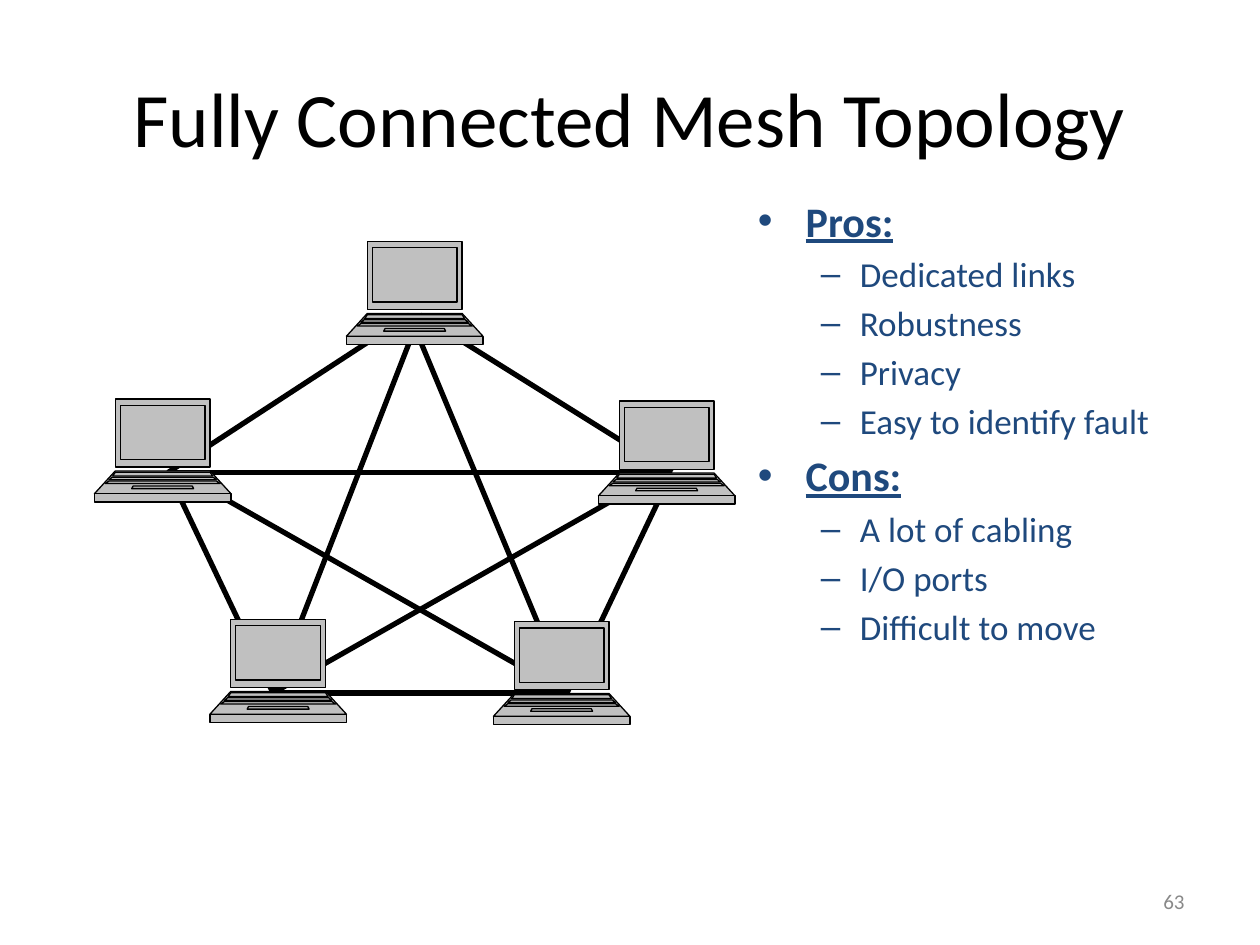
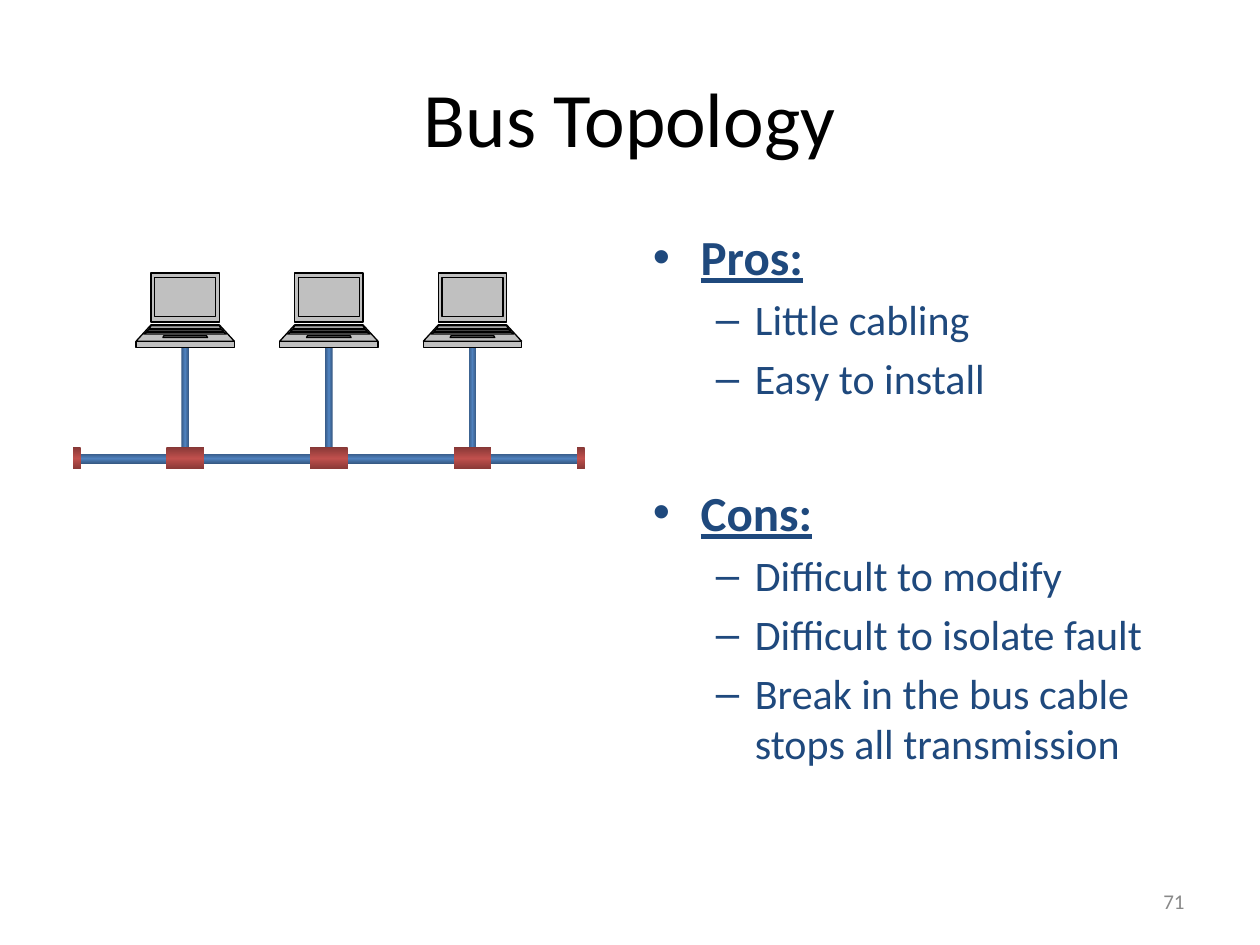
"""Build two slides that compare mesh and bus network topologies."""
import copy

import lxml.etree
import pptx
import pptx.dml.color
import pptx.enum.shapes
import pptx.enum.text
import pptx.oxml.ns
import pptx.util

COLORS = {
    "title": "000000", "body": "1F497D", "number": "898989",
    "line": "000000", "laptop": "C0C0C0",
    "cable": "4F81BD", "cable_edge": "375A85",
    "joint": "C0504D", "joint_edge": "873836",
}
FONT = "Calibri"
COLUMNS, ROWS = 120, 90
CELL = pptx.util.Inches(10) // COLUMNS

# Each part: top, bottom, half width at top, half width at bottom.
LAPTOP_COLUMNS = 108
LAPTOP_PARTS = [
    (0, 54, 37.5, 37.5),
    (57, 75, 37.5, 54),
    (75, 81.5, 54, 54),
    (5, 48, 33.5, 33.5),
    (58, 61, 37.5, 39.5),
    (69, 71, 23.5, 24.5),
    (62, 64, 40, 42.5),
    (65, 67, 42.5, 45.5),
]

MESH_LAPTOPS = [(9, 38), (20, 59), (33, 23), (47, 59.2), (57, 38.2)]
MESH_LINKS = [
    ((16, 45), (39, 30)), ((64, 45), (40, 30)), ((54, 66), (64, 45)),
    ((26, 66), (54, 66)), ((16, 45), (26, 66)), ((64, 45), (16, 45)),
    ((63, 45), (26, 66)), ((54, 66), (17, 45)), ((40, 30), (26, 66)),
    ((54, 66), (39, 30)),
]
BUS_CENTERS = [17.64 + 13.68 * index for index in range(3)]

MESH_PROS = ["Dedicated links", "Robustness", "Privacy", "Easy to identify fault"]
MESH_CONS = ["A lot of cabling", "I/O ports", "Difficult to move"]
BUS_PROS = ["Little cabling", "Easy to install"]
BUS_CONS = ["Difficult to modify", "Difficult to isolate fault",
            "Break in the bus cable stops all transmission"]


def cells(*counts):
    """Turn counts of grid cells into lengths."""
    return [pptx.util.Emu(round(count * CELL)) for count in counts]


def color(name):
    """Look up a named colour."""
    return pptx.dml.color.RGBColor.from_string(COLORS[name])


def style(para, size, name, bold=False):
    """Set the font of a paragraph; bold ones are underlined too."""
    font = para.font
    font.name, font.size = FONT, pptx.util.Pt(size)
    font.color.rgb = color(name)
    font.bold = font.underline = bold


def add_bullet(para, mark, margin, hanging):
    """Give a paragraph a hanging bullet, with indents in inches."""
    properties = para._p.get_or_add_pPr()
    properties.set("marL", str(pptx.util.Inches(margin)))
    properties.set("indent", str(-pptx.util.Inches(hanging)))
    qn = pptx.oxml.ns.qn
    tint = lxml.etree.SubElement(properties, qn("a:buClr"))
    lxml.etree.SubElement(tint, qn("a:srgbClr"), val=COLORS["body"])
    lxml.etree.SubElement(properties, qn("a:buFont"), typeface="Arial")
    lxml.etree.SubElement(properties, qn("a:buChar"), char=mark)


def add_page(deck, title, number):
    """Add a slide with its title and slide number."""
    page = deck.slides.add_slide(deck.slide_layouts[5])
    heading = page.shapes.title
    heading.left, heading.top, heading.width, heading.height = cells(6, 3.6, 108, 15)
    heading.text_frame.text = title
    heading.text_frame.vertical_anchor = pptx.enum.text.MSO_ANCHOR.MIDDLE
    para = heading.text_frame.paragraphs[0]
    para.alignment = pptx.enum.text.PP_ALIGN.CENTER
    style(para, 44, "title")

    box = page.shapes.add_textbox(*cells(86, 83.4, 28, 4.8))
    box.text_frame.word_wrap = True
    box.text_frame.vertical_anchor = pptx.enum.text.MSO_ANCHOR.MIDDLE
    para = box.text_frame.paragraphs[0]
    para.text = str(number)
    para.alignment = pptx.enum.text.PP_ALIGN.RIGHT
    style(para, 12, "number")
    return page


def add_pros_cons(page, place, pros, cons, size, gap):
    """List pros and cons; gap is the space in points before the cons."""
    frame = page.shapes.add_textbox(*cells(*place)).text_frame
    frame.word_wrap = True
    para = frame.paragraphs[0]
    for heading, items, before in (("Pros:", pros, 0), ("Cons:", cons, gap)):
        if before:
            para = frame.add_paragraph()
            para.space_before = pptx.util.Pt(before)
        para.text = heading
        add_bullet(para, "•", 0.38, 0.38)
        style(para, size, "body", bold=True)
        for item in items:
            para = frame.add_paragraph()
            para.text, para.level = item, 1
            add_bullet(para, "–", 0.81, 0.31)
            para.space_before = pptx.util.Pt(0.2 * (size - 4))
            style(para, size - 4, "body")


def split_contours(shape):
    """Fill each contour of a freeform separately, so that none cuts a hole."""
    qn = pptx.oxml.ns.qn
    outline = next(shape.element.iter(qn("a:path")))
    steps = list(outline)
    target = outline
    for step in steps:
        if step.tag == qn("a:moveTo") and step is not steps[0]:
            target = lxml.etree.SubElement(
                outline.getparent(), outline.tag, dict(outline.attrib))
        target.append(step)


def add_laptop(page, left, top, width):
    """Draw a laptop from mirrored trapezoids."""
    unit = width / LAPTOP_COLUMNS
    center = left + width / 2
    builder = None
    for upper, lower, half_top, half_bottom in LAPTOP_PARTS:
        corners = [cells(center + side * unit, top + row * unit)
                   for side, row in ((-half_top, upper), (half_top, upper),
                                     (half_bottom, lower), (-half_bottom, lower))]
        if builder is None:
            builder = page.shapes.build_freeform(*corners[0], scale=1.0)
        else:
            builder.move_to(*corners[0])
        builder.add_line_segments(corners[1:], close=True)
    laptop = builder.convert_to_shape()
    split_contours(laptop)
    laptop.shadow.inherit = False
    laptop.fill.solid()
    laptop.fill.fore_color.rgb = color("laptop")
    laptop.line.color.rgb = color("line")
    laptop.line.width = pptx.util.Pt(0.75)


def add_link(page, start, end):
    """Draw a straight thick line between two grid points."""
    link = page.shapes.add_connector(
        pptx.enum.shapes.MSO_CONNECTOR.STRAIGHT, *cells(*start, *end))
    link.line.color.rgb = color("line")
    link.line.width = pptx.util.Pt(3)
    lxml.etree.SubElement(link.element.spPr, pptx.oxml.ns.qn("a:effectLst"))


def add_pipe(page, place, name, angle=90):
    """Draw a rectangle shaded from its edges to a bright middle."""
    pipe = page.shapes.add_shape(pptx.enum.shapes.MSO_SHAPE.RECTANGLE, *cells(*place))
    pipe.shadow.inherit = False
    pipe.line.fill.background()
    pipe.fill.gradient()
    stop_list = next(pipe.element.iter(pptx.oxml.ns.qn("a:gsLst")))
    stop_list.append(copy.deepcopy(stop_list[0]))
    edge = name + "_edge"
    for stop, position, tint in zip(pipe.fill.gradient_stops, (0, 0.5, 1), (edge, name, edge)):
        stop.position = position
        stop.color.rgb = color(tint)
    pipe.fill.gradient_angle = angle


def build_mesh(deck):
    """Build the slide on the fully connected mesh."""
    page = add_page(deck, "Fully Connected Mesh Topology", 63)
    for start, end in MESH_LINKS:
        add_link(page, start, end)
    add_pros_cons(page, (71, 18, 43, 49), MESH_PROS, MESH_CONS, size=24, gap=4.8)
    for left, top in MESH_LAPTOPS:
        add_laptop(page, left, top, 13)


def build_bus(deck):
    """Build the slide on the bus."""
    page = add_page(deck, "Bus Topology", 71)
    add_pros_cons(page, (61, 21, 53, 59.4), BUS_PROS, BUS_CONS, size=28, gap=45.4)
    add_pipe(page, (7.7, 43.2, 47.3, 0.96), "cable")
    for center in BUS_CENTERS:
        add_pipe(page, (center - 0.36, 31.1, 0.72, 13), "cable", angle=0)
        add_pipe(page, (center - 1.8, 42.6, 3.6, 2.1), "joint")
        add_laptop(page, center - 4.68, 26, 9.36)
    for left in (6.96, 54.96):
        add_pipe(page, (left, 42.6, 0.72, 2.1), "joint")


def main():
    """Build and save the deck."""
    deck = pptx.Presentation()
    deck.slide_width, deck.slide_height = cells(COLUMNS, ROWS)
    build_mesh(deck)
    build_bus(deck)
    deck.save("out.pptx")


if __name__ == "__main__":
    main()
